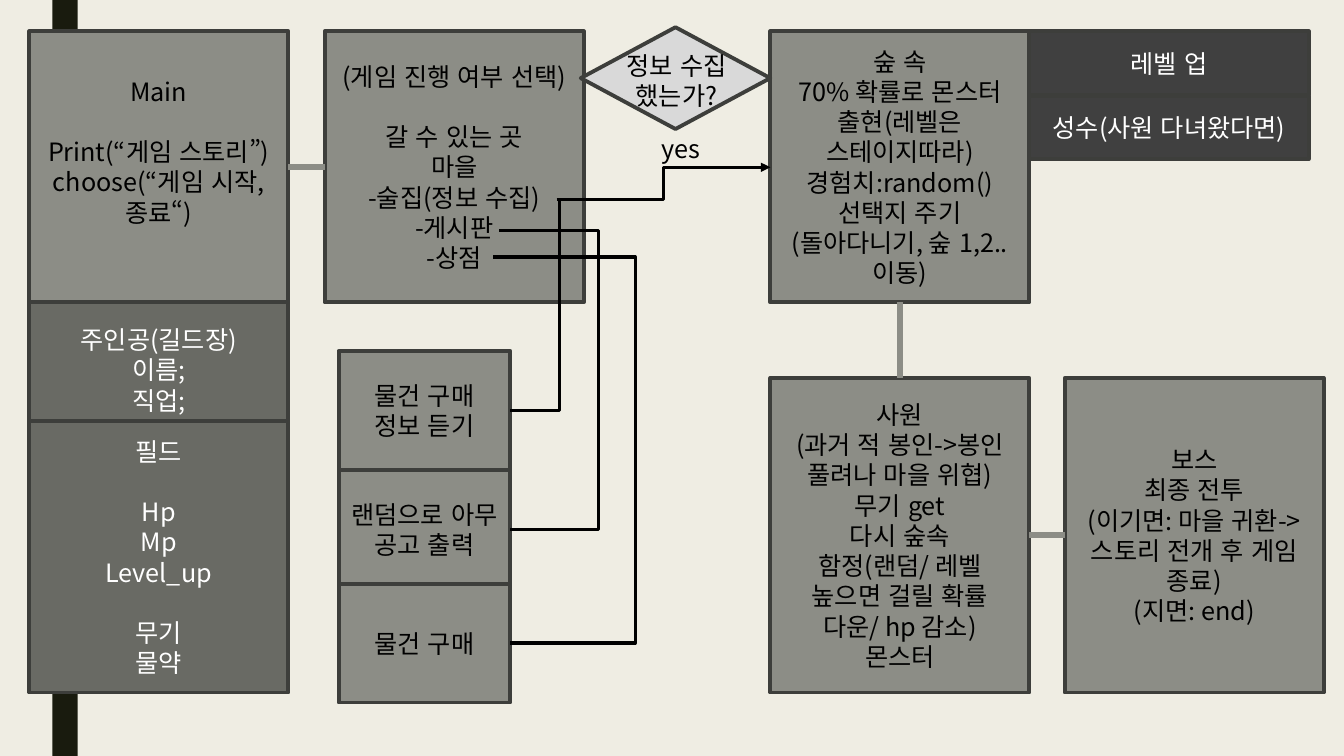
from pptx import Presentation, util as u
from pptx.dml.color import RGBColor
from pptx.enum import lang, shapes, text
from pptx.oxml.ns import qn
from lxml import etree

COLUMNS = {"hero": 0.29, "choice": 3.22, "shop": 3.36, "forest": 7.64,
           "reward": 10.21, "boss": 10.56}
ROWS = {"top": 0.31, "reward": 0.95, "hero": 3.0, "tavern": 3.48, "lower": 3.75,
        "field": 4.18, "board": 4.66, "store": 5.79}
SIZES = {"step": (2.57, 2.69), "hero": (2.57, 1.34), "place": (2.57, 3.12),
         "shop": (1.7, 1.18), "reward": (2.77, 0.63)}
GAP = None

STEPS = {
    "main": ("hero", "top", "step", "step",
             ["Main", GAP, "Print(“게임 스토리”)", "choose(“게임 시작,", "종료“)", GAP]),
    "hero": ("hero", "hero", "hero", "data", ["주인공(길드장)", "이름;", "직업;"]),
    "field": ("hero", "field", "step", "data",
              ["필드", GAP, "Hp", "Mp", "Level_up", GAP, "무기", "물약"]),
    "choice": ("choice", "top", "step", "step",
               ["(게임 진행 여부 선택)", GAP, "갈 수 있는 곳", "마을",
                "-술집(정보 수집)", "-게시판", "-상점"]),
    "forest": ("forest", "top", "step", "step",
               ["숲 속", "70% 확률로 몬스터 출현(레벨은 스테이지따라)", "경험치:random()",
                "선택지 주기(돌아다니기, 숲 1,2.. 이동)"]),
    "temple": ("forest", "lower", "place", "step",
               ["사원\v(과거 적 봉인->봉인 풀려나 마을 위협)\v무기 get", "다시 숲속",
                "함정(랜덤/ 레벨 높으면 걸릴 확률 다운/ hp 감소)", "몬스터"]),
    "boss": ("boss", "lower", "place", "step",
             ["보스", "최종 전투", "(이기면: 마을 귀환->스토리 전개 후 게임 종료)", "(지면: end)"]),
    "tavern": ("shop", "tavern", "shop", "step", ["물건 구매", "정보 듣기"]),
    "board": ("shop", "board", "shop", "step", ["랜덤으로 아무\v공고 출력"]),
    "store": ("shop", "store", "shop", "step", ["물건 구매"]),
    "level": ("reward", "top", "reward", "reward", ["레벨 업"]),
    "water": ("reward", "reward", "reward", "reward", ["성수(사원 다녀왔다면)"]),
}
DECISION = (5.76, 0.27, 1.88, 1.01)
LABELS = [((6.03, 0.45, 1.36, 1.01), ["정보 수집\v했는가?"]),
          ((6.07, 1.27, 1.36, 0.4), ["yes"])]
LINKS = [("main", 3, "choice", 1), ("temple", 3, "boss", 1), ("forest", 2, "temple", 0)]
SHOP_EDGE = COLUMNS["shop"] + SIZES["shop"][0]
ROUTES = [
    ((5.52, 1.98), 6.58, (7.64, 1.66), True),
    ((5.55, 1.98), 5.55, (SHOP_EDGE, 4.07), False),
    ((4.95, 2.29), 5.94, (SHOP_EDGE, 5.25), False),
    ((4.89, 2.55), 6.3, (SHOP_EDGE, 6.38), False),
]

THEME = {
    "background": "EFEDE3", "stripe": "191B0E", "border": "3D3E3B",
    "link": "8C8D86", "route": "000000", "decision": "D9D9D9",
    "step": ("8C8D86", "000000"), "data": ("696A64", "FFFFFF"),
    "reward": ("404040", "FFFFFF"), "label": "000000",
    "font": "Noto Sans CJK KR", "size": 18, "pitch": 21.6,
    "border_width": 2.75, "link_width": 4.5, "route_width": 2.25,
}


def color(value):
    return RGBColor.from_string(value)


def apply(target, values):
    for name, value in values.items():
        setattr(target, name, value)


def write(box, lines, ink, anchor):
    frame = box.text_frame
    apply(frame, {"word_wrap": True, "vertical_anchor": anchor})
    if lines[-1] is GAP:
        frame.margin_bottom = u.Inches(0.05) + u.Pt(THEME["pitch"])
    paragraph, space = frame.paragraphs[0], 0
    for index, line in enumerate(lines):
        if line is GAP:
            space = THEME["pitch"]
            continue
        if index:
            paragraph = frame.add_paragraph()
        paragraph.text = line
        apply(paragraph, {"alignment": text.PP_ALIGN.CENTER, "space_before": u.Pt(space)})
        for run in paragraph.runs:
            apply(run.font, {"name": THEME["font"], "size": u.Pt(THEME["size"]),
                             "language_id": lang.MSO_LANGUAGE_ID.KOREAN})
            run.font.color.rgb = color(ink)
            east = etree.SubElement(run.font._element, qn("a:ea"))
            east.set("typeface", THEME["font"])
        space = 0


def add_box(slide, kind, area, fill, border=None):
    box = slide.shapes.add_shape(kind, *map(u.Inches, area))
    box.shadow.inherit = False
    box.fill.solid()
    box.fill.fore_color.rgb = color(fill)
    if border:
        box.line.color.rgb = color(border)
        box.line.width = u.Pt(THEME["border_width"])
    else:
        box.line.fill.background()
    return box


def add_line(slide, kind, start, end, role):
    line = slide.shapes.add_connector(kind, *map(u.Inches, start + end))
    line.line.color.rgb = color(THEME[role])
    line.line.width = u.Pt(THEME[role + "_width"])
    etree.SubElement(line._element.spPr, qn("a:effectLst"))
    return line


def add_route(slide, start, turn, end, arrow):
    route = add_line(slide, shapes.MSO_CONNECTOR.ELBOW, start, end, "route")
    share = (turn - start[0]) / (end[0] - start[0])
    guides = route._element.spPr.prstGeom.get_or_add_avLst()
    guide = etree.SubElement(guides, qn("a:gd"))
    guide.set("name", "adj1")
    guide.set("fmla", f"val {round(share * 100000)}")
    if arrow:
        head = etree.SubElement(route.line._get_or_add_ln(), qn("a:tailEnd"))
        head.set("type", "triangle")


def main():
    deck = Presentation()
    apply(deck, {"slide_width": u.Inches(13.33), "slide_height": u.Inches(7.5)})
    slide = deck.slides.add_slide(deck.slide_layouts[6])
    slide.background.fill.solid()
    slide.background.fill.fore_color.rgb = color(THEME["background"])
    rectangle = shapes.MSO_SHAPE.RECTANGLE
    add_box(slide, rectangle, (0.52, 0, 0.25, 7.5), THEME["stripe"])

    steps = {}
    for name, (column, row, size, role, lines) in STEPS.items():
        fill, ink = THEME[role]
        area = (COLUMNS[column], ROWS[row], *SIZES[size])
        steps[name] = add_box(slide, rectangle, area, fill, THEME["border"])
        write(steps[name], lines, ink, text.MSO_ANCHOR.MIDDLE)

    add_box(slide, shapes.MSO_SHAPE.FLOWCHART_DECISION, DECISION,
            THEME["decision"], THEME["border"])
    for area, lines in LABELS:
        label = slide.shapes.add_textbox(*map(u.Inches, area))
        write(label, lines, THEME["label"], text.MSO_ANCHOR.TOP)

    for source, exit_site, target, entry_site in LINKS:
        link = add_line(slide, shapes.MSO_CONNECTOR.STRAIGHT, (0, 0), (1, 1), "link")
        link.begin_connect(steps[source], exit_site)
        link.end_connect(steps[target], entry_site)
    for route in ROUTES:
        add_route(slide, *route)
    deck.save("out.pptx")


if __name__ == "__main__":
    main()
